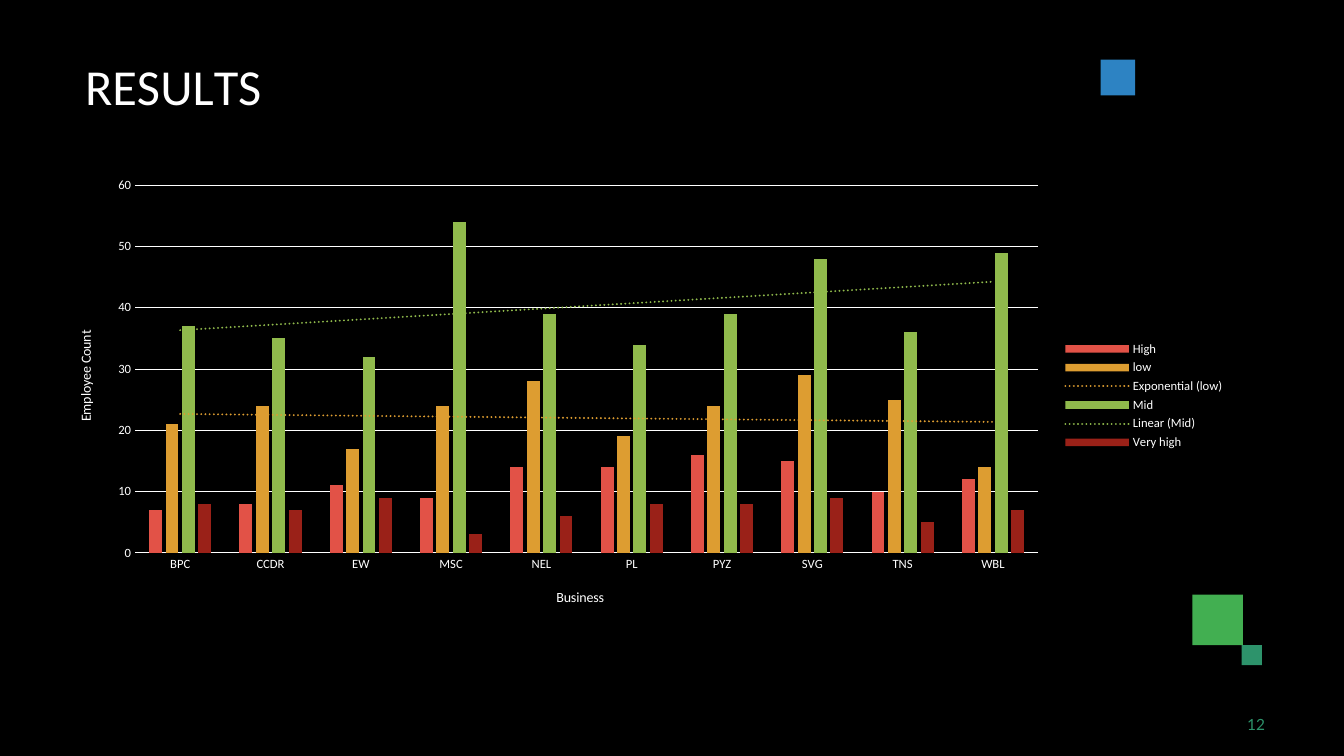
"""Build the results slide with its employee chart."""
from dataclasses import dataclass
from typing import Any, Optional

import lxml.etree
import pptx
import pptx.chart.data
import pptx.dml.color
import pptx.enum.chart
import pptx.enum.dml
import pptx.enum.shapes
import pptx.enum.text
import pptx.oxml
import pptx.oxml.ns
import pptx.util

Pt = pptx.util.Pt
Enum = pptx.enum.chart
HUES = {
    "black": "000000", "white": "FFFFFF", "blue": "2D83C3", "green": "42AF51",
    "teal": "2D936B", "red": "E25247", "gold": "DD9D31", "lime": "90BA4C",
    "wine": "9A2118",
}
SPACE = pptx.oxml.ns.nsdecls("c", "a")


@dataclass
class Square:
    left: float
    top: float
    width: float
    height: float
    hue: str


@dataclass
class Label:
    left: float
    top: float
    width: float
    height: float
    inset: float
    before: float
    font: str
    size: float
    hue: str
    anchor: Any
    runs: list[tuple[str, int]]


@dataclass
class Series:
    name: str
    hue: str
    values: tuple[int, ...]
    trend: Optional[str] = None


SQUARES = [
    Square(851.8, 424.8, 36, 36, "green"),
    Square(786.2, 42.7, 24.6, 25.5, "blue"),
    Square(887, 460.8, 14.4, 14.4, "teal"),
]
LABELS = [
    Label(59.8, 30.2, 192, 60, 0.9, 1.1, "Calibri", 36, "white",
          pptx.enum.text.MSO_ANCHOR.MIDDLE,
          [("R", 0), ("E", -40), ("S", 10), ("U", -30), ("L", -400), ("TS", 0)]),
    Label(887.8, 509.8, 18, 15, 3, 0.6, "Lato", 11, "teal",
          pptx.enum.text.MSO_ANCHOR.TOP, [("12", 10)]),
]
UNITS = ("BPC", "CCDR", "EW", "MSC", "NEL", "PL", "PYZ", "SVG", "TNS", "WBL")
SERIES = [
    Series("High", "red", (7, 8, 11, 9, 14, 14, 16, 15, 10, 12)),
    Series("low", "gold", (21, 24, 17, 24, 28, 19, 24, 29, 25, 14), "exp"),
    Series("Mid", "lime", (37, 35, 32, 54, 39, 34, 39, 48, 36, 49), "linear"),
    Series("Very high", "wine", (8, 7, 9, 3, 6, 8, 8, 9, 5, 7)),
]


def tint(hue: str) -> pptx.dml.color.RGBColor:
    return pptx.dml.color.RGBColor.from_string(HUES[hue])


def assign(target: Any, values: dict[str, Any]) -> None:
    for name, value in values.items():
        setattr(target, name, value)


def style(font: Any, face: str, size: float, hue: str) -> None:
    assign(font, {"name": face, "size": Pt(size), "bold": False})
    font.color.rgb = tint(hue)


def paint(form: Any, hue: str) -> None:
    form.fill.solid()
    form.fill.fore_color.rgb = tint(hue)
    form.line.fill.background()


def rule(line: Any) -> None:
    line.color.rgb = tint("white")
    line.width = Pt(0.75)


def draw_square(slide: Any, item: Square) -> None:
    shape = slide.shapes.add_shape(
        pptx.enum.shapes.MSO_SHAPE.RECTANGLE,
        Pt(item.left), Pt(item.top), Pt(item.width), Pt(item.height))
    shape.shadow.inherit = False
    paint(shape, item.hue)


def draw_label(slide: Any, item: Label) -> None:
    frame = slide.shapes.add_textbox(
        Pt(item.left), Pt(item.top), Pt(item.width), Pt(item.height)).text_frame
    assign(frame, {
        "word_wrap": True, "vertical_anchor": item.anchor,
        "margin_left": Pt(item.inset), "margin_top": Pt(0.9),
        "margin_right": 0, "margin_bottom": 0,
    })
    line = frame.paragraphs[0]
    line.space_before = Pt(item.before)
    for text, gap in item.runs:
        run = line.add_run()
        run.text = text
        style(run.font, item.font, item.size, item.hue)
        run.font._element.set("spc", str(gap))


def place(node: Any, index: int, spots: dict[str, float], inner: bool = False) -> None:
    for old in node.findall(pptx.oxml.ns.qn("c:layout")):
        node.remove(old)
    target = '<c:layoutTarget val="inner"/>' if inner else ""
    modes = "".join(f'<c:{key}Mode val="edge"/>' for key in "xy")
    sizes = "".join(f'<c:{key} val="{value}"/>' for key, value in spots.items())
    node.insert(index, pptx.oxml.parse_xml(
        f"<c:layout {SPACE}><c:manualLayout>{target}{modes}{sizes}"
        "</c:manualLayout></c:layout>"))


def add_trend(series: Any, item: Series) -> None:
    trend = pptx.oxml.parse_xml(
        f'<c:trendline {SPACE}><c:spPr><a:ln w="{Pt(1.5)}" cap="rnd"><a:solidFill>'
        f'<a:srgbClr val="{HUES[item.hue]}"/></a:solidFill><a:prstDash val="sysDot"/>'
        f'</a:ln></c:spPr><c:trendlineType val="{item.trend}"/>'
        '<c:dispRSqr val="0"/><c:dispEq val="0"/></c:trendline>')
    series._element.find(pptx.oxml.ns.qn("c:cat")).addprevious(trend)


def set_axis(axis: Any, title: str, spots: dict[str, float]) -> None:
    assign(axis, {"major_tick_mark": Enum.XL_TICK_MARK.NONE,
                  "minor_tick_mark": Enum.XL_TICK_MARK.NONE})
    style(axis.tick_labels.font, "Calibri", 9, "white")
    frame = axis.axis_title.text_frame
    frame.text = title
    style(frame.paragraphs[0].runs[0].font, "Calibri", 10, "white")
    place(axis.axis_title._element, 1, spots)


def draw_chart(slide: Any) -> None:
    data = pptx.chart.data.CategoryChartData()
    data.categories = UNITS
    for item in SERIES:
        data.add_series(item.name, item.values)
    chart = slide.shapes.add_chart(
        Enum.XL_CHART_TYPE.COLUMN_CLUSTERED,
        Pt(36), Pt(121), Pt(846), Pt(323.3), data).chart
    assign(chart, {"has_title": False, "has_legend": True})
    style(chart.font, "Calibri", 10, "white")
    assign(chart.legend, {"position": Enum.XL_LEGEND_POSITION.RIGHT,
                          "include_in_layout": False})
    style(chart.legend.font, "Calibri", 9, "white")
    plot = chart.plots[0]
    assign(plot, {"gap_width": 219, "overlap": -27, "vary_by_categories": False})
    for series, item in zip(plot.series, SERIES):
        paint(series.format, item.hue)
        series.invert_if_negative = False
        if item.trend:
            add_trend(series, item)
    across, upright = chart.category_axis, chart.value_axis
    set_axis(across, "Business", {"x": 0.425, "y": 0.92})
    set_axis(upright, "Employee Count", {"x": 0.02, "y": 0.35})
    assign(upright, {"minimum_scale": 0, "maximum_scale": 60, "major_unit": 10,
                     "has_major_gridlines": True})
    rule(across.format.line)
    rule(upright.major_gridlines.format.line)
    upright.format.line.fill.background()
    place(chart._chartSpace.chart.plotArea, 0,
          {"x": 0.0715, "y": 0.035, "w": 0.7625, "h": 0.8125}, True)


def main() -> None:
    deck = pptx.Presentation()
    assign(deck, {"slide_width": Pt(960), "slide_height": Pt(540)})
    slide = deck.slides.add_slide(deck.slide_layouts[6])
    slide.background.fill.solid()
    slide.background.fill.fore_color.rgb = tint("black")
    for square in SQUARES:
        draw_square(slide, square)
    for label in LABELS:
        draw_label(slide, label)
    draw_chart(slide)
    deck.save("out.pptx")


if __name__ == "__main__":
    main()
